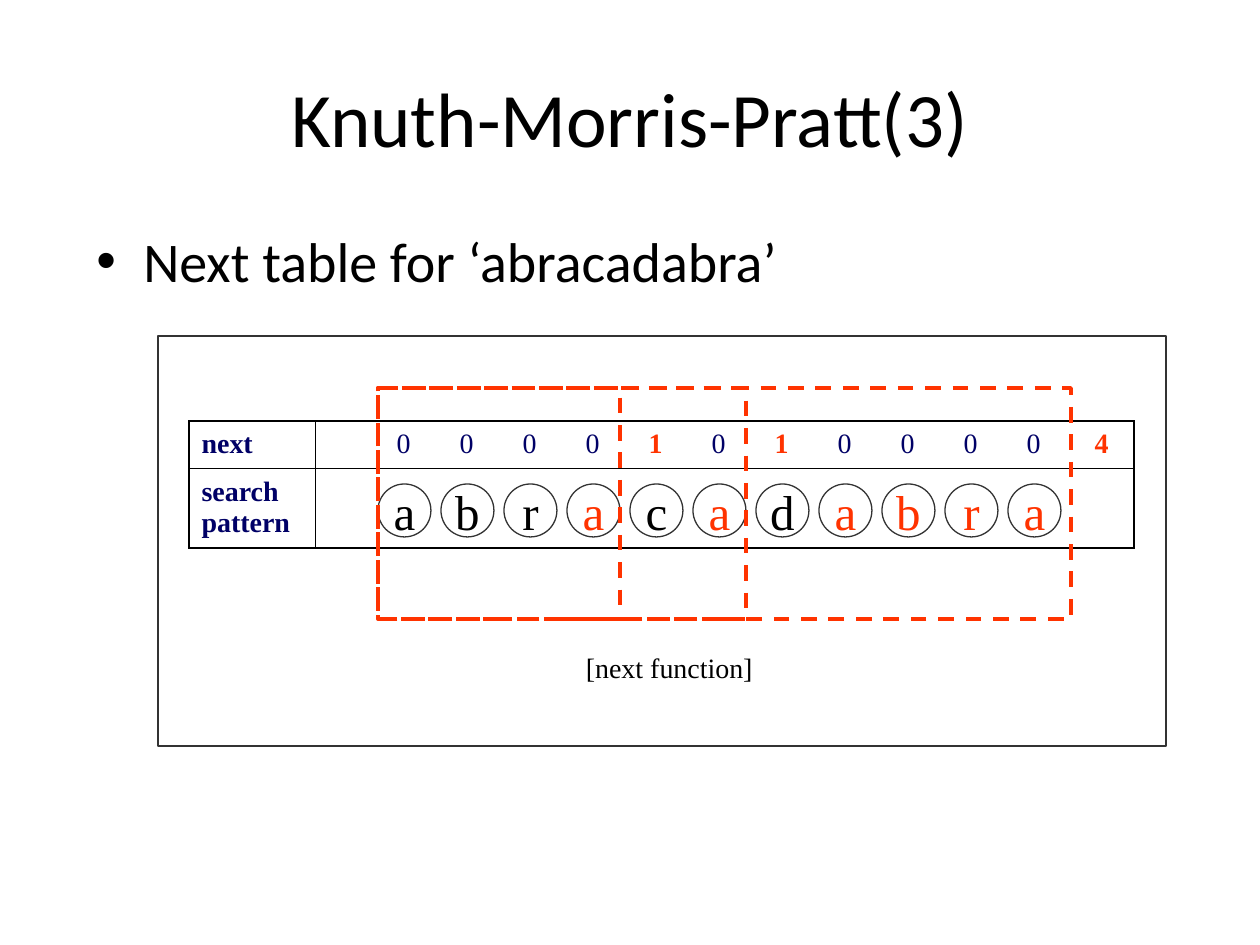
from lxml.etree import SubElement
from pptx import Presentation
from pptx.dml.color import RGBColor
from pptx.enum.dml import MSO_LINE
from pptx.enum.shapes import MSO_SHAPE
from pptx.enum.text import MSO_ANCHOR, PP_ALIGN
from pptx.oxml.ns import qn
from pptx.util import Pt

BLACK = RGBColor(0, 0, 0)
GRAY = RGBColor(0x33, 0x33, 0x33)
NAVY = RGBColor(0, 0, 0x66)
RED = RGBColor(0xFF, 0x33, 0)
SANS, SERIF = "Calibri", "Times New Roman"

WORD = "abracadabra"
MARKED = {3, 5, 7, 8, 9, 10}  # letters shown in red
NEXT = "000010100004"
STEP = 63  # distance between letters


def px(n):
    return round(n * 914400 / 126)


def style(font, name, size, color, bold=False):
    font.name, font.size, font.bold = name, Pt(size), bold
    font.color.rgb = color


def add_text(slide, box, text, size, align, anchor):
    frame = slide.shapes.add_textbox(*map(px, box)).text_frame
    frame.word_wrap = True
    frame.vertical_anchor = anchor
    para = frame.paragraphs[0]
    para.text, para.alignment = text, align
    return para


def add_title(slide, box):
    para = add_text(slide, box, "Knuth-Morris-Pratt(3)", 44,
                    PP_ALIGN.CENTER, MSO_ANCHOR.MIDDLE)
    style(para.font, SANS, 44, BLACK)


def add_bullet(slide, box):
    para = add_text(slide, box, "Next table for ‘abracadabra’", 32,
                    PP_ALIGN.LEFT, MSO_ANCHOR.TOP)
    props = para._p.get_or_add_pPr()
    props.set("marL", str(px(47)))
    props.set("indent", str(-px(47)))
    SubElement(props, qn("a:buFont"), typeface="Arial")
    SubElement(props, qn("a:buChar"), char="•")
    style(para.font, SANS, 32, BLACK)


def add_shape(slide, kind, box, color, width):
    shape = slide.shapes.add_shape(kind, *map(px, box))
    shape.shadow.inherit = False
    shape.fill.background()
    shape.line.color.rgb = color
    shape.line.width = Pt(width)
    return shape


def set_edges(cell, row, col):
    props = cell._tc.get_or_add_tcPr()
    outer = {"L": col == 0, "R": col == 1, "T": row == 0, "B": row == 1}
    for side, thick in outer.items():
        line = SubElement(props, qn(f"a:ln{side}"),
                          w=str(Pt(1.08 if thick else 0.45)))
        fill = SubElement(line, qn("a:solidFill"))
        SubElement(fill, qn("a:srgbClr"), val=str(BLACK))


def add_next(para):
    # Each value is centred on its own tab stop
    tabs = SubElement(para._p.get_or_add_pPr(), qn("a:tabLst"))
    for i, value in enumerate(NEXT):
        shift = 5 if i == len(WORD) else 0
        SubElement(tabs, qn("a:tab"), pos=str(px(76 + STEP * i + shift)), algn="ctr")
        run = para.add_run()
        run.text = "\t" + value
        hit = value != "0"
        style(run.font, SERIF, 16, RED if hit else NAVY, hit)


def add_grid(slide, box):
    table = slide.shapes.add_table(2, 2, *map(px, box)).table
    table.first_row = table.horz_banding = False
    for col, width in zip(table.columns, (126, 819)):
        col.width = px(width)
    for row, height in zip(table.rows, (47, 80)):
        row.height = px(height)
    for r, label in enumerate(("next", "search pattern")):
        for c in range(2):
            cell = table.cell(r, c)
            cell.vertical_anchor = MSO_ANCHOR.MIDDLE
            set_edges(cell, r, c)
            cell.fill.background()
        para = table.cell(r, 0).text_frame.paragraphs[0]
        para.text = label
        style(para.font, SERIF, 16, NAVY, True)
    add_next(table.cell(0, 1).text_frame.paragraphs[0])


def add_word(slide, left, top):
    for i, char in enumerate(WORD):
        ring = add_shape(slide, MSO_SHAPE.OVAL,
                         (left + STEP * i, top, 53, 53), GRAY, 0.75)
        frame = ring.text_frame
        frame.word_wrap = False
        frame.vertical_anchor = MSO_ANCHOR.MIDDLE
        para = frame.paragraphs[0]
        para.text, para.alignment = char, PP_ALIGN.CENTER
        style(para.font, SERIF, 28, RED if i in MARKED else BLACK)


def add_frame(slide, box):
    frame = add_shape(slide, MSO_SHAPE.RECTANGLE, box, GRAY, 0.75).text_frame
    frame.vertical_anchor = MSO_ANCHOR.BOTTOM
    frame.margin_bottom, frame.margin_left = px(62), px(27)
    para = frame.paragraphs[0]
    para.text, para.alignment = "[next function]", PP_ALIGN.CENTER
    style(para.font, SERIF, 16, BLACK)


def add_figure(slide, box):
    left, top, width, height = box
    add_grid(slide, (left + 31, top + 85, 945, 127))
    add_word(slide, left + 220, top + 148)
    add_frame(slide, box)
    # Dashed boxes around the matching prefixes
    for span in (242, 368, 693):
        dash = add_shape(slide, MSO_SHAPE.RECTANGLE,
                         (left + 220, top + 52, span, 231), RED, 2.25)
        dash.line.dash_style = MSO_LINE.DASH


def main():
    deck = Presentation()
    deck.slide_width, deck.slide_height = px(1260), px(945)
    slide = deck.slides.add_slide(deck.slide_layouts[6])
    add_title(slide, (63, 38, 1134, 157))
    add_bullet(slide, (84, 220, 1071, 609))
    add_figure(slide, (158, 336, 1008, 410))
    deck.save("out.pptx")


if __name__ == "__main__":
    main()
